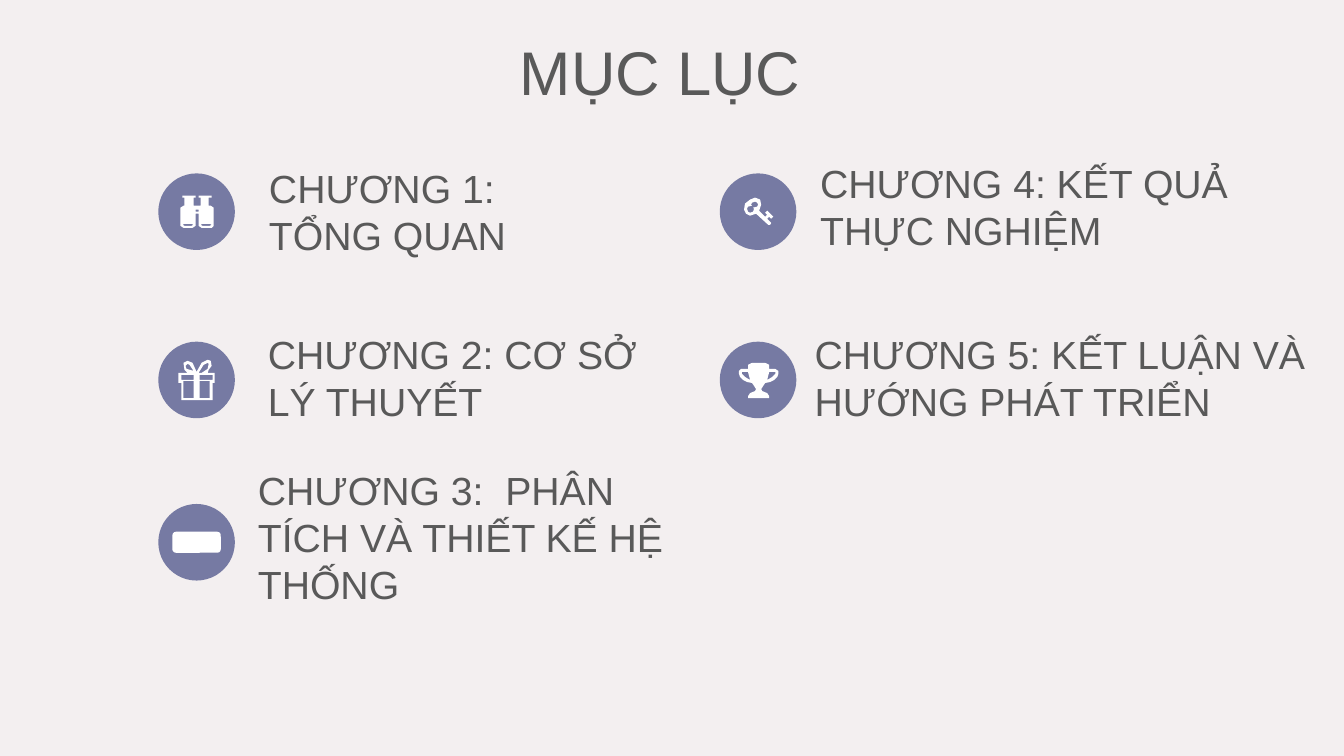
from dataclasses import dataclass

from pptx import Presentation
from pptx.dml.color import RGBColor
from pptx.enum.shapes import MSO_SHAPE as Preset
from pptx.enum.text import MSO_ANCHOR as Anchor, PP_ALIGN as Align
from pptx.shapes.autoshape import Shape
from pptx.slide import Slide
from pptx.util import Cm, Pt

COLORS = {"background": "F3EFF0", "badge": "767AA3", "icon": "FFFFFF", "text": "595959"}
FONT = "Arial"
BADGE_SIZE = 1.93
BAR_WIDTH, BAR_HEIGHT = 1.22, 0.53
ICON_UNIT = Cm(0.0254)
LEFT_COLUMN, RIGHT_COLUMN = 3.99, 18.14
ROW_TOPS = (4.37, 8.61, 12.7)

Contour = list[tuple[int, int]]


@dataclass(frozen=True)
class Box:
    left: float
    top: float
    width: float
    height: float

    def lengths(self) -> tuple[Cm, Cm, Cm, Cm]:
        return Cm(self.left), Cm(self.top), Cm(self.width), Cm(self.height)


@dataclass(frozen=True)
class Chapter:
    text: str
    text_box: Box
    badge_left: float
    badge_top: float
    icon: list[Contour] | None = None


def rectangle(left: int, top: int, right: int, bottom: int) -> Contour:
    return [(left, top), (right, top), (right, bottom), (left, bottom)]


# Icon contours are measured from the badge's top left corner; inner ones are holes.
BINOCULARS = [
    [(26, 24), (35, 24), (35, 32), (42, 32), (42, 24), (50, 24), (50, 32), (52, 32),
     (55, 34), (55, 52), (53, 54), (43, 54), (40, 52), (40, 40), (37, 40), (37, 52),
     (34, 54), (25, 54), (22, 52), (22, 34), (25, 32), (26, 32)],
    rectangle(24, 22, 37, 24),
    rectangle(40, 22, 53, 24),
    rectangle(37, 36, 40, 38),
    [(24, 51), (26, 50), (33, 50), (35, 51), (33, 52), (26, 52)],
    [(42, 51), (44, 50), (51, 50), (53, 51), (51, 52), (44, 52)],
]
GIFT = [
    [(49, 31), (50, 28), (53, 24), (52, 19), (49, 18), (43, 21), (38, 30), (34, 21),
     (29, 19), (25, 21), (26, 28), (29, 31), (20, 31), (20, 41), (23, 41), (23, 58),
     (54, 58), (54, 41), (56, 41), (56, 31)],
    rectangle(25, 39, 35, 56),
    rectangle(41, 39, 51, 56),
    rectangle(23, 33, 35, 38),
    rectangle(41, 33, 54, 38),
    [(45, 23), (49, 21), (50, 22), (49, 27), (43, 31), (40, 31)],
    [(27, 24), (29, 22), (31, 23), (35, 29), (28, 27)],
]
KEY = [
    [(35, 24), (40, 26), (41, 31), (39, 37), (45, 43), (47, 41), (45, 39), (47, 37),
     (53, 43), (51, 45), (49, 43), (47, 45), (51, 49), (50, 51), (48, 51), (36, 40),
     (30, 42), (26, 40), (24, 36), (25, 30), (30, 26)],
    [(35, 28), (32, 29), (31, 31), (32, 32), (28, 33), (27, 35), (28, 38), (30, 39),
     (33, 38), (34, 35), (33, 34), (37, 33), (38, 31), (37, 29)],
]
TROPHY = [
    [(32, 21), (45, 21), (49, 23), (49, 27), (55, 27), (58, 29), (58, 32), (57, 35),
     (54, 38), (50, 40), (45, 41), (43, 44), (41, 47), (42, 49), (47, 51), (49, 54),
     (49, 56), (28, 56), (28, 54), (30, 51), (35, 49), (36, 47), (34, 44), (32, 41),
     (27, 40), (23, 38), (20, 35), (19, 32), (19, 29), (21, 27), (28, 27), (28, 23)],
    [(49, 30), (55, 30), (55, 32), (52, 35), (47, 38)],
    [(28, 30), (22, 30), (22, 32), (25, 35), (30, 38)],
]

CHAPTERS = [
    Chapter("CHƯƠNG 1: TỔNG QUAN", Box(6.53, 4.01, 6.96, 2.9),
            LEFT_COLUMN, ROW_TOPS[0], BINOCULARS),
    Chapter("CHƯƠNG 2: CƠ SỞ LÝ THUYẾT", Box(6.5, 8.2, 10.54, 2.9),
            LEFT_COLUMN, ROW_TOPS[1], GIFT),
    Chapter("CHƯƠNG 3:  PHÂN TÍCH VÀ THIẾT KẾ HỆ THỐNG", Box(6.25, 11.63, 11.71, 4.09),
            LEFT_COLUMN, ROW_TOPS[2]),
    Chapter("CHƯƠNG 4: KẾT QUẢ THỰC NGHIỆM", Box(20.42, 3.89, 13.41, 2.9),
            RIGHT_COLUMN, ROW_TOPS[0], KEY),
    Chapter("CHƯƠNG 5: KẾT LUẬN VÀ HƯỚNG PHÁT TRIỂN", Box(20.28, 8.2, 13.5, 2.9),
            RIGHT_COLUMN, ROW_TOPS[1], TROPHY),
]


def color(name: str) -> RGBColor:
    return RGBColor.from_string(COLORS[name])


def paint(shape: Shape, color_name: str) -> None:
    """Give the shape a flat fill with no line or shadow."""
    shape.shadow.inherit = False
    shape.fill.solid()
    shape.fill.fore_color.rgb = color(color_name)
    shape.line.fill.background()


def add_text(slide: Slide, text: str, box: Box, size: int, align: Align) -> None:
    frame = slide.shapes.add_textbox(*box.lengths()).text_frame
    frame.word_wrap = True
    frame.vertical_anchor = Anchor.TOP
    paragraph = frame.paragraphs[0]
    paragraph.text = text
    paragraph.alignment = align
    paragraph.font.name = FONT
    paragraph.font.size = Pt(size)
    paragraph.font.color.rgb = color("text")


def add_icon(slide: Slide, contours: list[Contour], left: float, top: float) -> None:
    first, *others = contours
    builder = slide.shapes.build_freeform(*first[0], scale=ICON_UNIT)
    builder.add_line_segments(first[1:], close=True)
    for contour in others:
        builder.move_to(*contour[0])
        builder.add_line_segments(contour[1:], close=True)
    paint(builder.convert_to_shape(Cm(left), Cm(top)), "icon")


def add_bar(slide: Slide, left: float, top: float) -> None:
    """Centre a plain rounded bar on the badge at this position."""
    box = Box(left + (BADGE_SIZE - BAR_WIDTH) / 2, top + (BADGE_SIZE - BAR_HEIGHT) / 2,
              BAR_WIDTH, BAR_HEIGHT)
    paint(slide.shapes.add_shape(Preset.ROUNDED_RECTANGLE, *box.lengths()), "icon")


def add_chapter(slide: Slide, chapter: Chapter) -> None:
    left, top = chapter.badge_left, chapter.badge_top
    badge_box = Box(left, top, BADGE_SIZE, BADGE_SIZE)
    paint(slide.shapes.add_shape(Preset.OVAL, *badge_box.lengths()), "badge")
    if chapter.icon:
        add_icon(slide, chapter.icon, left, top)
    else:
        add_bar(slide, left, top)
    add_text(slide, chapter.text, chapter.text_box, 28, Align.LEFT)


def main() -> None:
    presentation = Presentation()
    presentation.slide_width, presentation.slide_height = Cm(33.87), Cm(19.05)
    slide = presentation.slides.add_slide(presentation.slide_layouts[6])
    slide.background.fill.solid()
    slide.background.fill.fore_color.rgb = color("background")
    for chapter in CHAPTERS:
        add_chapter(slide, chapter)
    add_text(slide, "MỤC LỤC", Box(12.14, 0.74, 9, 2.13), 44, Align.CENTER)
    presentation.save("out.pptx")


if __name__ == "__main__":
    main()
